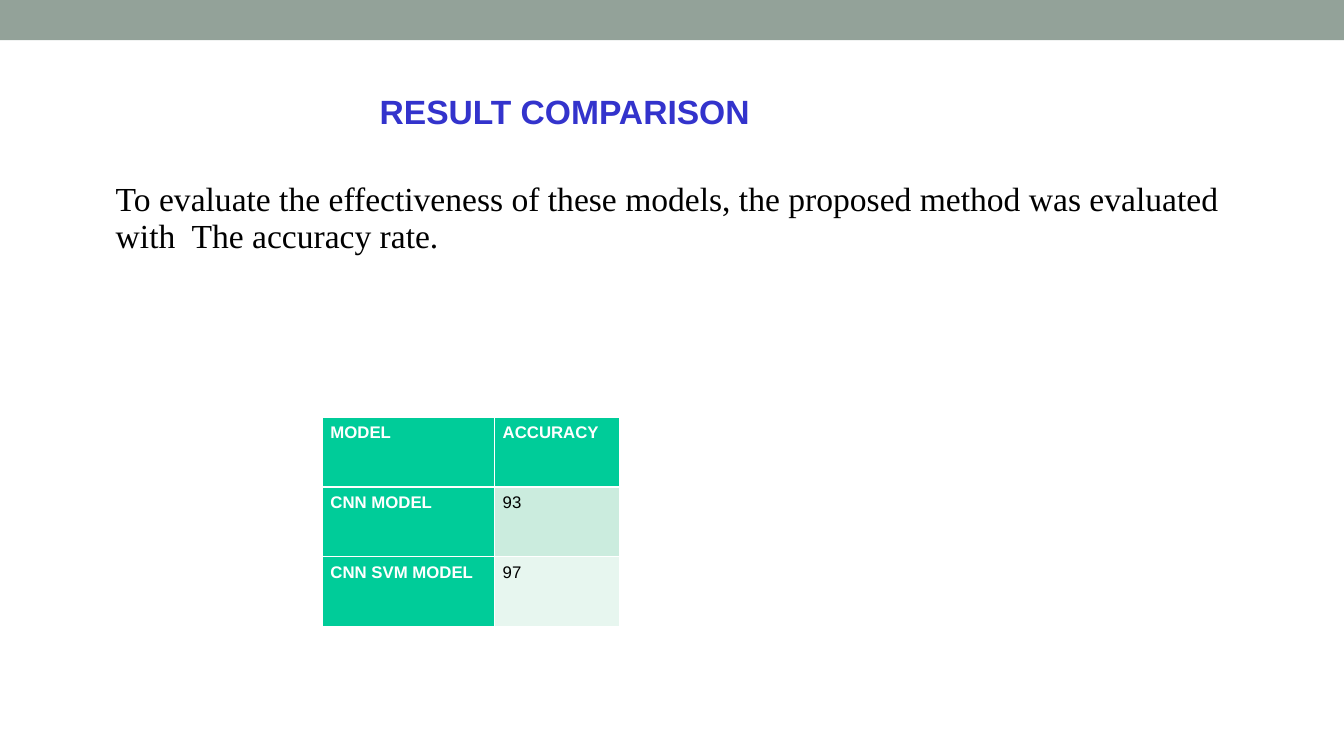
from lxml import etree
from pptx import Presentation
from pptx import util as u
from pptx.dml.color import RGBColor
from pptx.enum import shapes, text
from pptx.oxml import ns

PX = 9144  # 100 px to the inch
WHITE, BLACK, GREEN = "FFFFFF", "000000", "00CC99"


def rgb(hex_colour):
    return RGBColor.from_string(hex_colour)


def style(paragraph, font_name, size, colour, bold, spacing):
    paragraph.line_spacing = spacing
    font = paragraph.font
    font.name, font.size, font.bold = font_name, u.Pt(size), bold
    font.color.rgb = rgb(colour)


deck = Presentation()
deck.slide_width, deck.slide_height = 1334 * PX, 750 * PX
slide = deck.slides.add_slide(deck.slide_layouts[6])

top_band = slide.shapes.add_shape(
    shapes.MSO_SHAPE.RECTANGLE, 0, 0, 1334 * PX, 40 * PX)
top_band.shadow.inherit = False
top_band.fill.solid()
top_band.fill.fore_color.rgb = rgb("93A299")
top_band.line.fill.background()

# Heading and statement
MIDDLE, TOP = text.MSO_ANCHOR.MIDDLE, text.MSO_ANCHOR.TOP
for box, anchor, words, font_name, colour, bold in (
    ((367, 58, 900, 108), MIDDLE, "RESULT COMPARISON", "Arial", "3333CC", True),
    ((105, 175, 1162, 533), TOP,
     "To evaluate the effectiveness of these models, the proposed method "
     "was evaluated with  The accuracy rate.",
     "Times New Roman", BLACK, False),
):
    frame = slide.shapes.add_textbox(*(n * PX for n in box)).text_frame
    frame.word_wrap = True
    frame.vertical_anchor = anchor
    frame.text = words
    style(frame.paragraphs[0], font_name, 24, colour, bold, 0.93)

# Accuracy table
results = [("MODEL", "ACCURACY"), ("CNN MODEL", "93"), ("CNN SVM MODEL", "97")]
accuracy_fills = [GREEN, "CBECDE", "E7F6EF"]
column_widths = [171, 124]
row_height = 69

accuracy_table = slide.shapes.add_table(
    len(results), len(column_widths), 320 * PX, 414 * PX,
    sum(column_widths) * PX, row_height * len(results) * PX).table
for column, width in zip(accuracy_table.columns, column_widths):
    column.width = width * PX

for r, row in enumerate(results):
    accuracy_table.rows[r].height = row_height * PX
    for c, words in enumerate(row):
        cell = accuracy_table.cell(r, c)
        is_heading = r == 0 or c == 0
        cell.margin_left = cell.margin_right = 8 * PX
        cell.margin_top = cell.margin_bottom = 5 * PX
        cell.text = words
        style(cell.text_frame.paragraphs[0], "Arial", 12,
              WHITE if is_heading else BLACK, is_heading, 1.07)
        cell.fill.solid()
        cell.fill.fore_color.rgb = rgb(GREEN if is_heading else accuracy_fills[r])

        properties = cell._tc.get_or_add_tcPr()
        for position, side in enumerate(("lnL", "lnR", "lnT", "lnB")):
            under_header = (r, side) in ((0, "lnB"), (1, "lnT"))
            border = etree.Element(
                ns.qn("a:" + side), w=str(u.Pt(1.47 if under_header else 0.45)))
            line_fill = etree.SubElement(border, ns.qn("a:solidFill"))
            etree.SubElement(line_fill, ns.qn("a:srgbClr"), val=WHITE)
            properties.insert(position, border)

deck.save("out.pptx")
